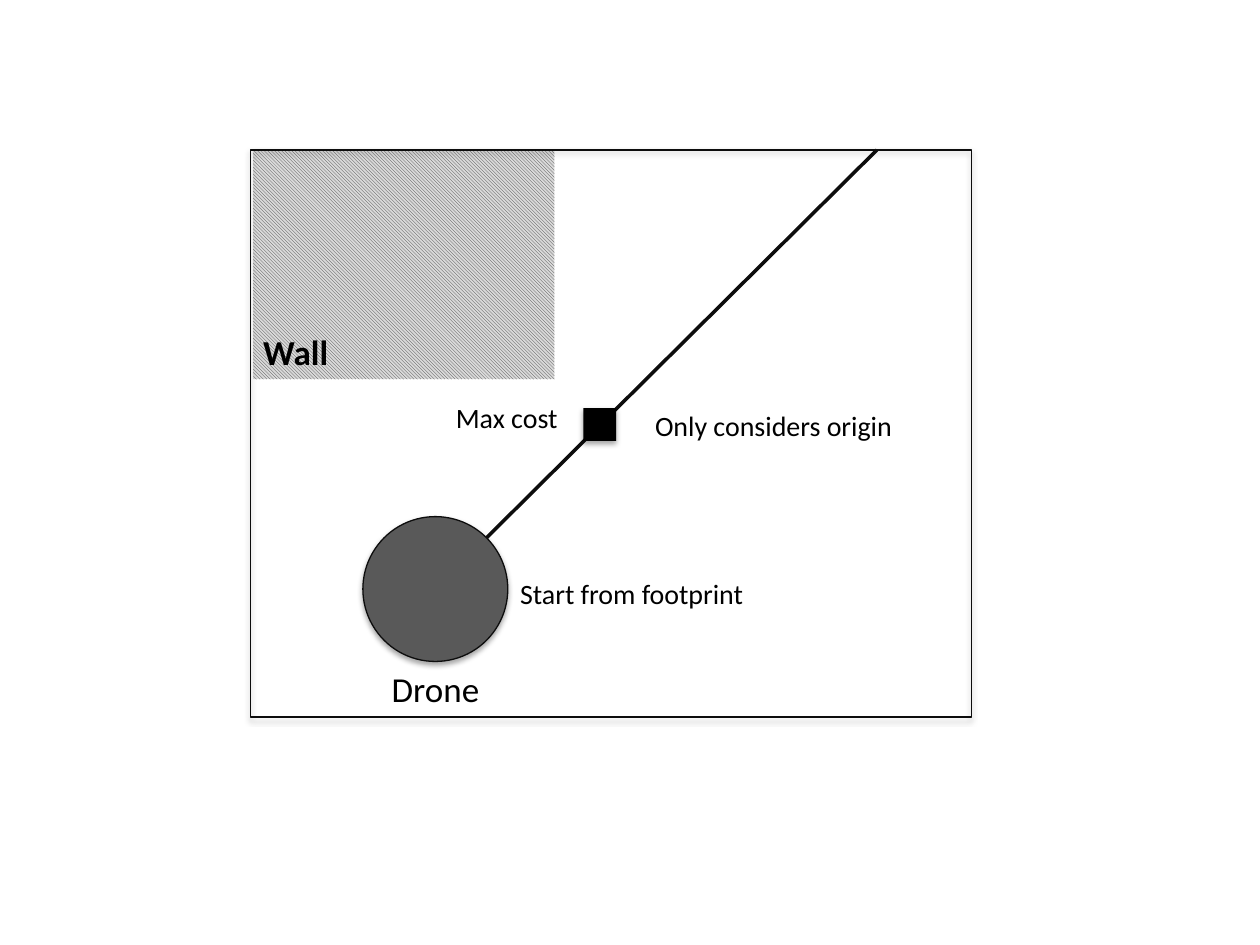
"""Build a slide sketching a drone's path past a wall."""
import pptx
import pptx.dml.color
import pptx.enum.dml
import pptx.enum.shapes
import pptx.enum.text
import pptx.oxml
import pptx.oxml.ns
import pptx.util
from lxml import etree

COLORS = {
    "ink": "000000",
    "outline": "0D0D0D",
    "drone": "595959",
    "hatch": "404040",
    "wall": "D9D9D9",
}
RGB = {name: pptx.dml.color.RGBColor.from_string(code) for name, code in COLORS.items()}
SHADOW = (
    f'<a:outerShdw {pptx.oxml.ns.nsdecls("a")} blurRad="{pptx.util.Pt(3.1)}" '
    f'dist="{pptx.util.Pt(1.8)}" dir="5400000" rotWithShape="0">'
    f'<a:srgbClr val="{COLORS["ink"]}"><a:alpha val="35000"/></a:srgbClr></a:outerShdw>'
)

deck = pptx.Presentation()
deck.slide_width = pptx.util.Inches(10)
deck.slide_height = pptx.util.Inches(7.5)
page = deck.slides.add_slide(deck.slide_layouts[6])
diagram = page.shapes.add_group_shape()


def grid(*cells):
    """Turn counts of grid cells, each a hundredth of the slide width, into lengths."""
    return [round(cell * deck.slide_width / 100) for cell in cells]


def add_figure(kind, cells, fill=None, line=None, shadow=True):
    """Add a preset shape with its fill, line and shadow."""
    figure = diagram.shapes.add_shape(kind, *grid(*cells))
    figure.shadow.inherit = False
    if fill:
        figure.fill.solid()
        figure.fill.fore_color.rgb = RGB[fill]
    else:
        figure.fill.background()
    if line:
        figure.line.color.rgb = RGB[line]
        figure.line.width = pptx.util.Pt(0.75)
    else:
        figure.line.fill.background()
    if shadow:
        effects = figure._element.spPr.find(pptx.oxml.ns.qn("a:effectLst"))
        effects.append(pptx.oxml.parse_xml(SHADOW))
    return figure


KINDS = pptx.enum.shapes.MSO_SHAPE
wall = add_figure(KINDS.RECTANGLE, (20.1, 11.9, 23.9, 18.2), shadow=False)
wall.fill.patterned()
wall.fill.pattern = pptx.enum.dml.MSO_PATTERN.LIGHT_DOWNWARD_DIAGONAL
wall.fill.fore_color.rgb = RGB["hatch"]
wall.fill.back_color.rgb = RGB["wall"]

add_figure(KINDS.RECTANGLE, (19.9, 11.9, 57.2, 45), line="outline")
add_figure(KINDS.OVAL, (28.8, 41, 11.5, 11.5), fill="drone", line="outline")

ray = diagram.shapes.add_connector(
    pptx.enum.shapes.MSO_CONNECTOR.STRAIGHT, *grid(38.6, 42.7, 69.6, 11.9)
)
ray.line.color.rgb = RGB["outline"]
ray.line.width = pptx.util.Pt(2)
etree.SubElement(ray._element.spPr, pptx.oxml.ns.qn("a:effectLst"))

add_figure(KINDS.RECTANGLE, (46.3, 32.4, 2.6, 2.6), fill="ink")

LABELS = [
    ("Drone", (30.1, 52.5, 9.1, 4.4), 20, False),
    ("Start from footprint", (40.3, 45.3, 20.1, 3.7), 16, False),
    ("Only considers origin", (51, 31.9, 21.1, 3.7), 16, False),
    ("Wall", (19.9, 25.7, 7.3, 4.4), 20, True),
    ("Max cost", (35.2, 31.3, 10.3, 3.7), 16, False),
]
for wording, cells, size, bold in LABELS:
    box = diagram.shapes.add_textbox(*grid(*cells))
    frame = box.text_frame
    frame.word_wrap = False
    frame.auto_size = pptx.enum.text.MSO_AUTO_SIZE.SHAPE_TO_FIT_TEXT
    para = frame.paragraphs[0]
    para.text = wording
    para.font.name = "Calibri"
    para.font.size = pptx.util.Pt(size)
    para.font.bold = bold
    para.font.color.rgb = RGB["ink"]

deck.save("out.pptx")
